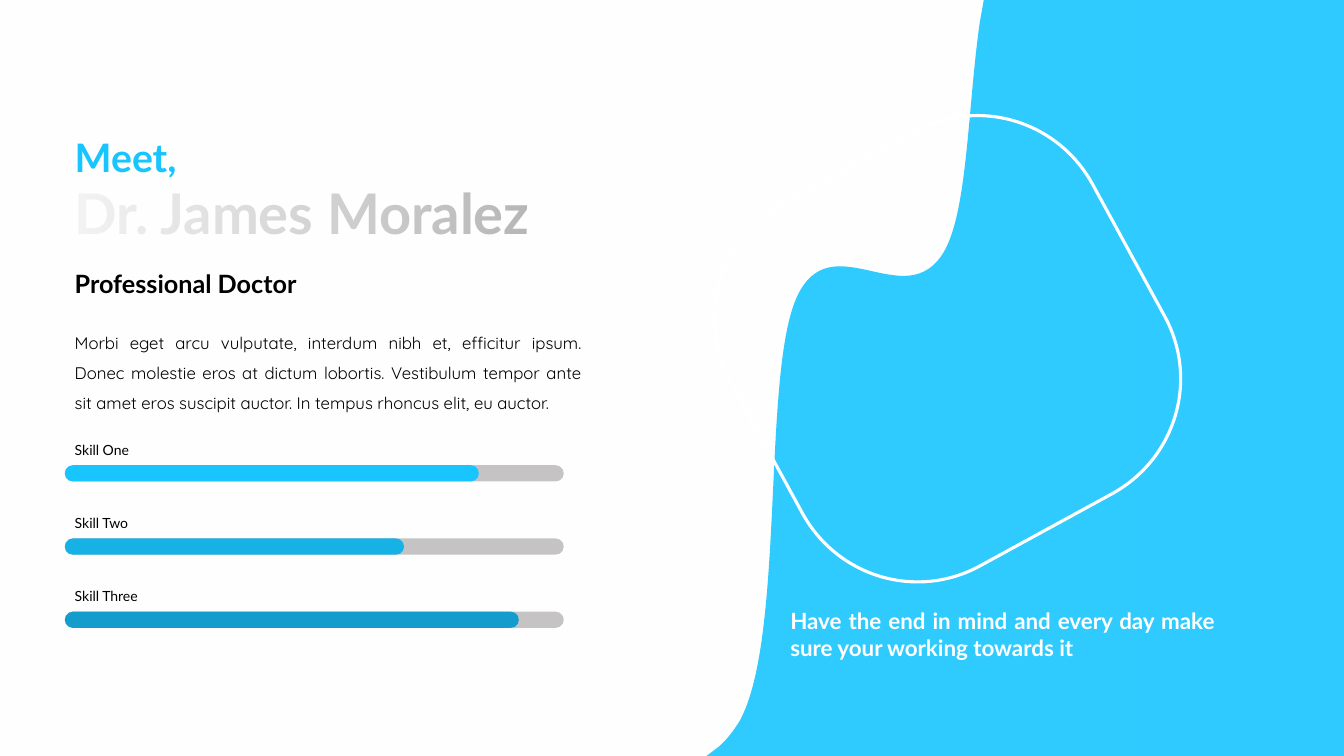
from lxml.etree import SubElement
from pptx import Presentation
from pptx.dml.color import RGBColor
from pptx.enum.shapes import MSO_SHAPE as Shape
from pptx.enum.text import MSO_ANCHOR as Anchor, MSO_AUTO_SIZE as Auto, PP_ALIGN as Align
from pptx.oxml.ns import qn
from pptx.util import Pt

WHITE = RGBColor(0xFF, 0xFF, 0xFF)
BLACK = RGBColor(0x00, 0x00, 0x00)
CYAN = RGBColor(0x19, 0xC5, 0xFF)
AZURE = RGBColor(0x16, 0xB1, 0xE5)
DEEP = RGBColor(0x14, 0x9D, 0xCC)
GREY = RGBColor(0xC5, 0xC3, 0xC3)

WIDE, HIGH = 960, 540
SKILLS = [("Skill One", 0.83, CYAN), ("Skill Two", 0.68, AZURE), ("Skill Three", 0.91, DEEP)]


def fade(shape, percent):
    """Set the opacity of the first colour in the fill."""
    tint = shape.fill._xPr.find(".//" + qn("a:srgbClr"))
    SubElement(tint, qn("a:alpha"), val=str(percent * 1000))


def outline(slide, left, top, width, height, steps):
    """Add a closed freeform filling the box; a step has one point (line) or three (curve)."""
    pen = slide.shapes.build_freeform(Pt(left), Pt(top))
    pen.add_line_segments([(Pt(left + x), Pt(top + y))
                           for x, y in [(width, 0), (width, height), (0, height)]])
    shape = pen.convert_to_shape()
    shape.shadow.inherit = False
    route = shape._element.spPr.find(".//" + qn("a:path"))
    for part in list(route):
        route.remove(part)
    for i, step in enumerate(steps):
        tag = "a:moveTo" if i == 0 else "a:lnTo" if len(step) == 1 else "a:cubicBezTo"
        part = SubElement(route, qn(tag))
        for x, y in step:
            SubElement(part, qn("a:pt"), x=str(int(Pt(x))), y=str(int(Pt(y))))
    SubElement(route, qn("a:close"))
    return shape


def write(frame, text, size, color, font="Lato", bold=False,
          align=Align.LEFT, space=1.0, anchor=Anchor.MIDDLE):
    frame.word_wrap = True
    frame.auto_size = Auto.NONE
    frame.vertical_anchor = anchor
    para = frame.paragraphs[0]
    para.alignment = align
    para.line_spacing = space
    run = para.add_run()
    run.text = text
    run.font.name = font
    run.font.size = Pt(size)
    run.font.bold = bold
    run.font.color.rgb = color


def label(slide, left, top, width, height, *args, **style):
    box = slide.shapes.add_textbox(Pt(left), Pt(top), Pt(width), Pt(height))
    write(box.text_frame, *args, **style)


def block(slide, kind, left, top, width, height):
    shape = slide.shapes.add_shape(kind, Pt(left), Pt(top), Pt(width), Pt(height))
    shape.shadow.inherit = False
    shape.line.fill.background()
    return shape


def veil(slide, left, top, width, height):
    """Add the white gradient, a tall block turned on its side to fill the box."""
    shift = (width - height) / 2
    sheet = block(slide, Shape.RECTANGLE, left + shift, top - shift, height, width)
    sheet.rotation = 90
    sheet.fill.gradient()
    sheet.fill.gradient_angle = 270
    for stop, spot in zip(sheet.fill.gradient_stops, (0, 1)):
        stop.color.rgb = WHITE
        stop.position = spot
    fade(sheet, 40)


def bar(slide, left, top, width, height, color):
    pill = block(slide, Shape.ROUNDED_RECTANGLE, left, top, width, height)
    pill.adjustments[0] = 0.5
    pill.fill.solid()
    pill.fill.fore_color.rgb = color


def panel(slide, left, top, width, height):
    """Add the blue side with its wavy left edge."""
    side = outline(slide, left, top, width, height, [
        [(198, 0)], [(width, 0)], [(width, height)], [(0, height)], [(8.6, 533.5)],
        [(14.4, 528.5), (19.4, 522), (23.8, 514.8)],
        [(56.2, 455), (39.6, 269.3), (64.1, 213.1)],
        [(88.6, 157.7), (142.6, 226.8), (169.9, 179.3)],
        [(186.5, 149.8), (186.5, 77.8), (195.1, 16.6)],
    ])
    side.fill.solid()
    side.fill.fore_color.rgb = CYAN
    fade(side, 90)
    side.line.fill.background()


def ring(slide, left, top, size):
    """Add the tilted round square: one side and corner, turned four times."""
    turn = [(154.8, -23.8), (180, 21.6), (163.4, 78.5), (117.4, 103.7)]
    mid = size / 2
    steps = [[(mid + 103.7, mid - 117.4)]]
    for _ in range(4):
        spots = [(mid + x, mid + y) for x, y in turn]
        steps += [spots[:1], spots[1:]]
        turn = [(-y, x) for x, y in turn]
    loop = outline(slide, left, top, size, size, steps)
    loop.fill.background()
    loop.line.color.rgb = WHITE
    loop.line.width = Pt(2.25)


def intro(slide, left, top, width):
    title = slide.shapes.title
    title.left, title.top = Pt(left), Pt(top + 10.8)
    title.width, title.height = Pt(366), Pt(104.4)
    write(title.text_frame, "Dr. James Moralez", 40, BLACK, bold=True, space=0.9)
    label(slide, left, top, 168, 41, "Meet,", 28, CYAN, bold=True)
    label(slide, left, top + 96.5, 232.5, 29, "Professional Doctor", 18, BLACK, bold=True)
    label(slide, left, top + 135.4, width, 72.7,
          "Morbi eget arcu vulputate, interdum nibh et, efficitur ipsum. Donec molestie eros at "
          "dictum lobortis. Vestibulum tempor ante sit amet eros suscipit auctor. In tempus "
          "rhoncus elit, eu auctor.",
          12, BLACK, font="Quicksand", align=Align.JUSTIFY, space=1.5, anchor=Anchor.TOP)


def skills(slide, left, top, width, pitch):
    for i, (name, share, color) in enumerate(SKILLS):
        y = top + i * pitch
        bar(slide, left, y + 20.6, width, 11.6, GREY)
        bar(slide, left, y + 20.6, width * share, 11.6, color)
        label(slide, left, y, width, 19.4, name, 10, BLACK)


def main():
    deck = Presentation()
    deck.slide_width, deck.slide_height = Pt(WIDE), Pt(HIGH)
    slide = deck.slides.add_slide(deck.slide_layouts[5])
    veil(slide, 0, 0, 812.8, HIGH)
    panel(slide, 504.7, 0, WIDE - 504.7, HIGH)
    ring(slide, 510.5, 82.8, 332.6)
    intro(slide, 46.3, 91.4, 376.6)
    skills(slide, 46.3, 311.7, 356.4, 52.3)
    label(slide, 557.4, 430.2, 317.5, 46,
          "Have the end in mind and every day make sure your working towards it",
          16, WHITE, bold=True, align=Align.JUSTIFY, anchor=Anchor.TOP)
    deck.save("out.pptx")


if __name__ == "__main__":
    main()
